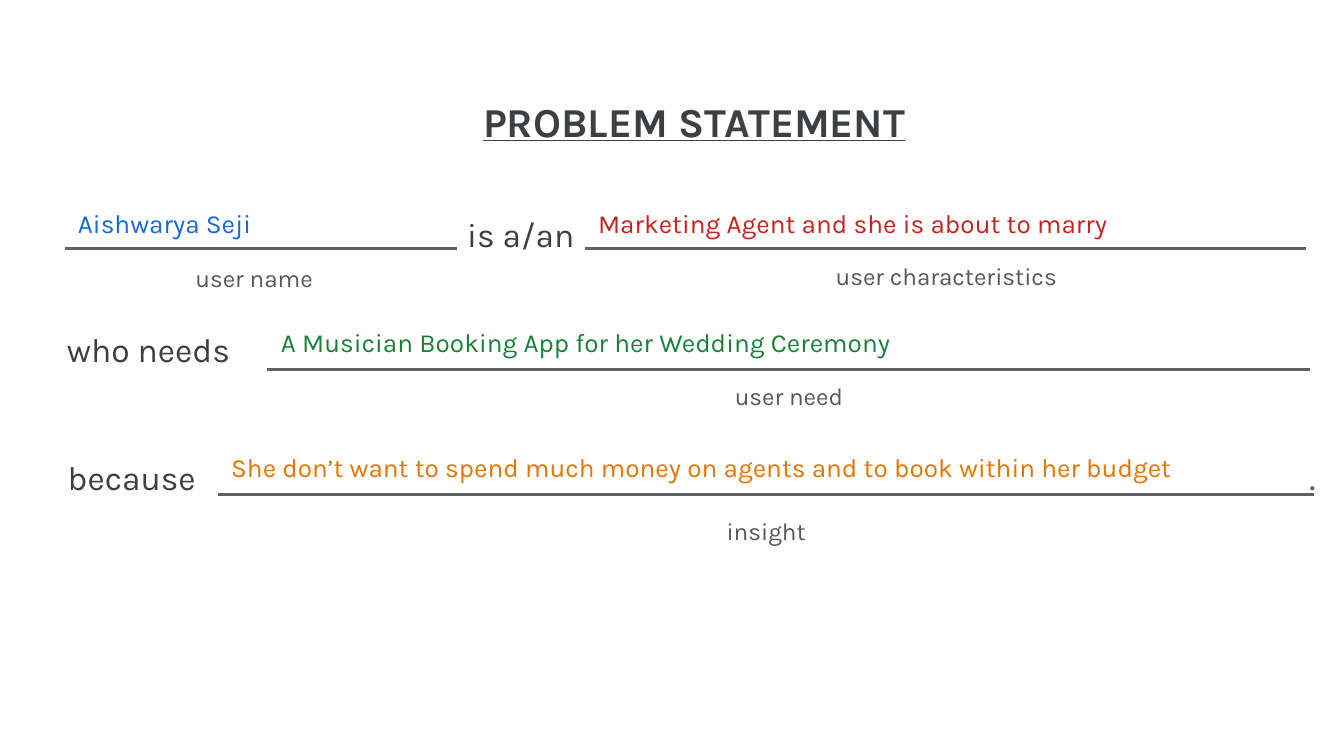
from lxml.etree import SubElement
from pptx import Presentation
from pptx.dml.color import RGBColor
from pptx.enum.shapes import MSO_CONNECTOR
from pptx.enum.text import MSO_ANCHOR, MSO_AUTO_SIZE, PP_ALIGN
from pptx.oxml.ns import qn
from pptx.util import Inches, Pt

COLORS = {
    "dark": "3C4043", "hint": "575757", "dot": "646464", "rule": "5E6268",
    "blue": "1967D2", "red": "C5221F", "green": "188038", "orange": "E37400",
}
COMPARE = 4  # layout with a title and four body placeholders

# Answer, colour, hint, left, rule height, right, top of answer, box of hint
BLANKS = [
    ("Aishwarya Seji", "blue", "user name", 0.48, 1.85, 3.4, 1.44,
     (0.43, 1.86, 2.92, 0.35)),
    ("Marketing Agent and she is about to marry", "red",
     "user characteristics", 4.35, 1.85, 9.72, 1.44,
     (4.35, 1.84, 5.38, 0.35)),
    ("A Musician Booking App for her Wedding Ceremony", "green",
     "user need", 1.99, 2.75, 9.75, 2.33, (1.99, 2.74, 7.76, 0.52)),
    ("She don’t want to spend much money on agents and to book within "
     "her budget", "orange", "insight", 1.62, 3.68, 9.78, 3.26,
     (1.62, 3.74, 8.16, 0.63)),
]
# Words, box, inset
JOINS = [
    ("is a/an", (3.4, 1.54, 0.95, 0.4), 0.05),
    ("who needs", (0.09, 2.35, 2.03, 0.63), 0.1),
    ("because", (0.09, 3.3, 1.78, 0.54), 0.1),
]


def put_text(shape, text, size, color, align=PP_ALIGN.CENTER, inset=0.1,
             bold=False, line=False):
    frame = shape.text_frame
    frame.word_wrap = True
    frame.auto_size = MSO_AUTO_SIZE.NONE
    frame.vertical_anchor = MSO_ANCHOR.TOP
    frame.margin_left = frame.margin_right = Inches(inset)
    frame.margin_top = frame.margin_bottom = Inches(inset)
    para = frame.paragraphs[0]
    para.alignment = align
    para.space_before = Pt(0)
    run = para.add_run()
    run.text = text
    font = run.font
    font.name, font.size = "Karla", Pt(size)
    font.bold, font.underline = bold, line
    font.color.rgb = RGBColor.from_string(COLORS[color])


def place(shape, left, top, width, height):
    shape.left, shape.top = Inches(left), Inches(top)
    shape.width, shape.height = Inches(width), Inches(height)


def add_label(slide, box, text, size, color, **look):
    shape = slide.shapes.add_textbox(*map(Inches, box))
    put_text(shape, text, size, color, **look)


def add_rule(slide, left, right, y):
    rule = slide.shapes.add_connector(
        MSO_CONNECTOR.STRAIGHT, *map(Inches, (left, y, right, y)))
    rule.line.color.rgb = RGBColor.from_string(COLORS["rule"])
    rule.line.width = Pt(1.5)
    SubElement(rule._element.spPr, qn("a:effectLst"))


def fill_body(shape, box, text, color):
    """Turn a list placeholder into one plain line of answer text."""
    place(shape, *box)
    props = shape.text_frame.paragraphs[0]._p.get_or_add_pPr()
    props.set("marL", "0")
    props.set("indent", "0")
    SubElement(props, qn("a:buNone"))
    put_text(shape, text, 14, color, align=PP_ALIGN.LEFT)


def main():
    deck = Presentation()
    deck.slide_width = Inches(10)
    deck.slide_height = deck.slide_width * 9 // 16
    slide = deck.slides.add_slide(deck.slide_layouts[COMPARE])

    title = slide.shapes.title
    place(title, 0.43, 0.62, 9.47, 0.54)
    put_text(title, "PROBLEM STATEMENT", 22, "dark", bold=True, line=True)

    for idx, blank in enumerate(BLANKS, 1):
        text, color, hint, left, y, right, top, box = blank
        add_label(slide, box, hint, 13, "hint")
        add_rule(slide, left, right, y)
        fill_body(slide.placeholders[idx], (left, top, right - left, 0.42),
                  text, color)

    for text, box, inset in JOINS:
        add_label(slide, box, text, 18, "dark", inset=inset)
    add_label(slide, (9.69, 3.32, 0.32, 0.44), ".", 20, "dot",
              align=PP_ALIGN.LEFT, inset=0.05)

    deck.save("out.pptx")


if __name__ == "__main__":
    main()
